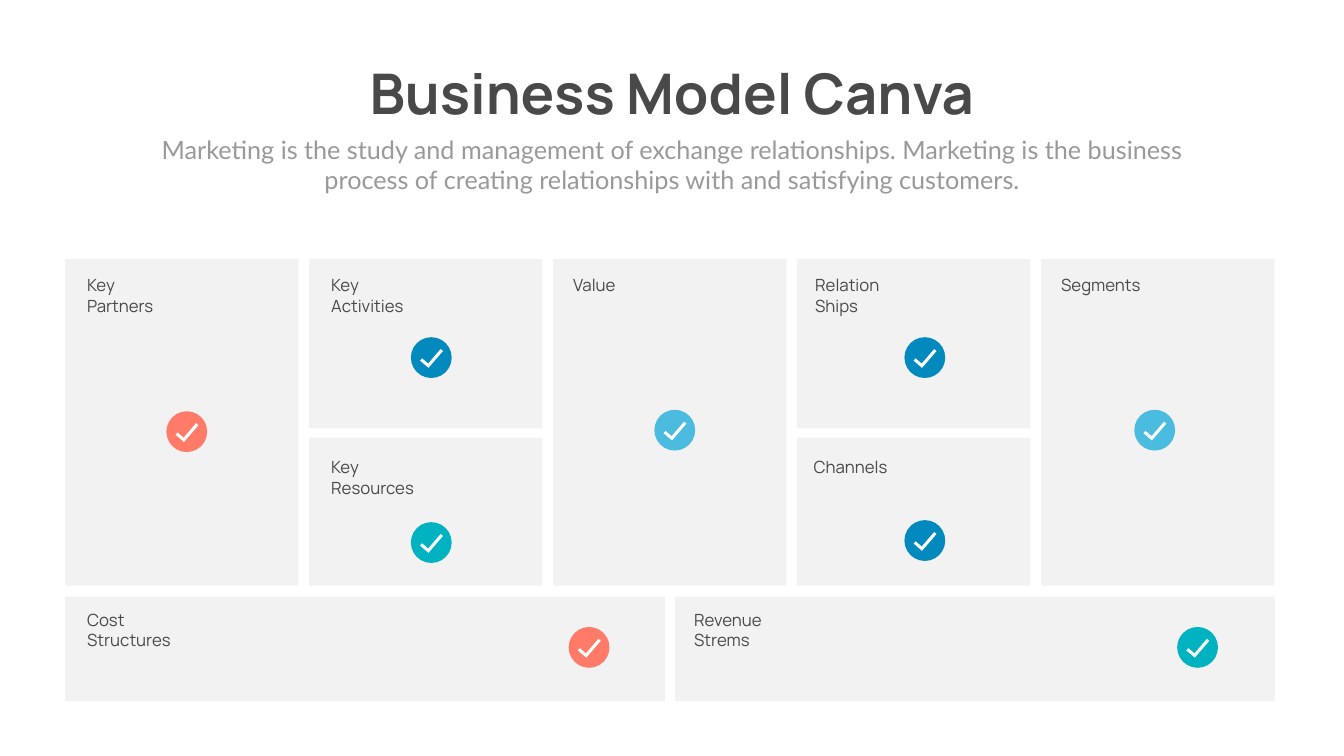
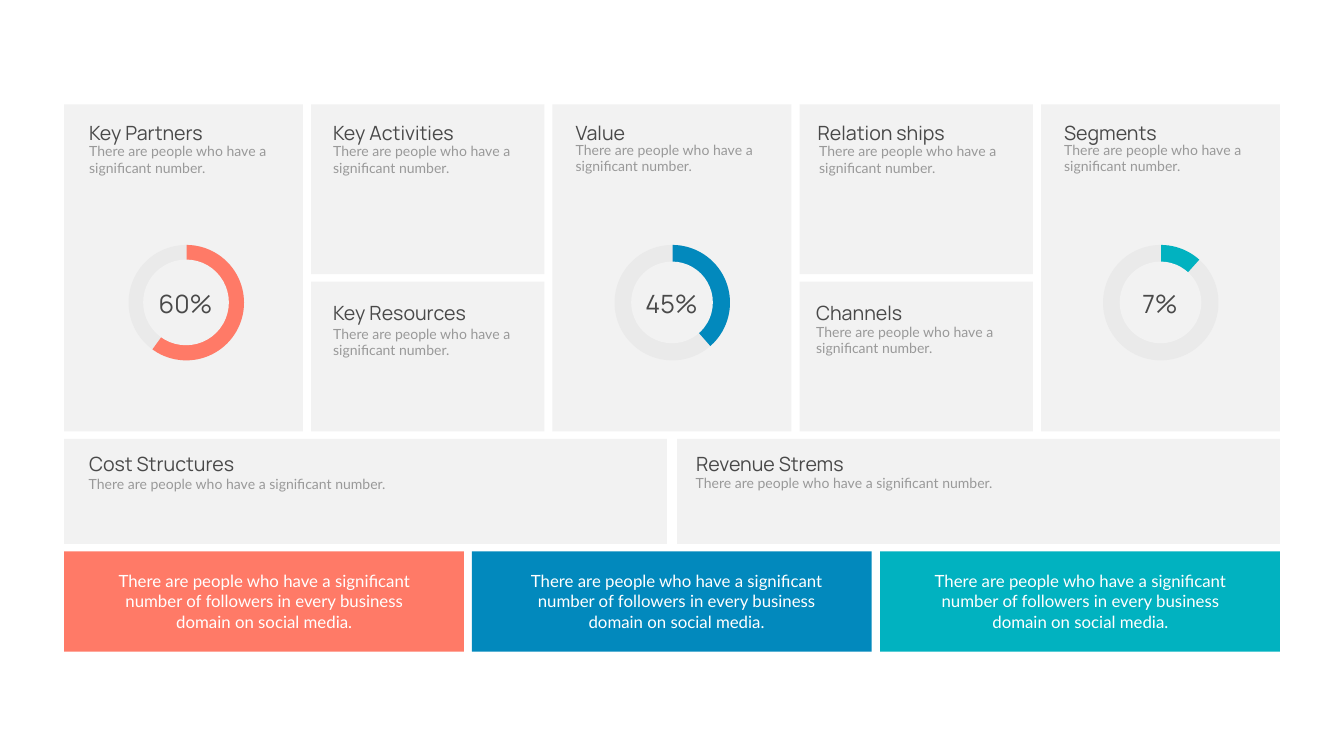
from pptx import Presentation
from pptx.dml.color import RGBColor as RGB
from pptx.enum.shapes import MSO_SHAPE as Form
from pptx.enum.text import PP_ALIGN as Align
from pptx.util import Emu, Pt

PX = 9144  # one px is 1/100 inch

INK = RGB(0x49, 0x49, 0x49)
GREY = RGB(0x99, 0x99, 0x99)
PANEL = RGB(0xF2, 0xF2, 0xF2)
TRACK = RGB(0xEA, 0xEA, 0xEA)
WHITE = RGB(0xFF, 0xFF, 0xFF)
CORAL = RGB(0xFF, 0x7A, 0x67)
BLUE = RGB(0x02, 0x89, 0xBD)
TEAL = RGB(0x01, 0xB2, 0xC0)
SKY = RGB(0x4B, 0xBB, 0xDF)

HEAD, BODY = "Manrope", "Lato"
NOTE = "There are people who have a significant number."
CLAIM = ("There are people who have a significant number of followers "
         "in every business domain on social media.")
TICK = [(6, 0), (6, 16), (44, 16), (44, 22), (0, 22)]

# text, dx, dy, width, height; badge colour, dx, dy (all from the cell's corner)
LABELS = [
    ("Key Partners", 34, 27, 183, 91, CORAL, 201, 302),
    ("Key Activities", 34, 27, 182, 91, BLUE, 202, 155),
    ("Key Resources", 34, 33, 218, 91, TEAL, 202, 167),
    ("Value", 30, 27, 239, 50, SKY, 201, 299),
    ("Relation Ships", 26, 27, 182, 91, BLUE, 213, 155),
    ("Channels", 23, 33, 241, 50, BLUE, 213, 163),
    ("Segments", 30, 27, 239, 50, SKY, 185, 299),
    ("Cost Structures", 34, 20, 200, 91, CORAL, 999, 60),
    ("Revenue Strems", 28, 20, 200, 91, TEAL, 996, 60),
]

# text, dx, dy, width, height; note dx, dy, width, height
TOPICS = [
    ("Key Partners", 40, 27, 302, 56, 40, 71, 384, 56),
    ("Key Activities", 34, 27, 345, 56, 34, 71, 384, 56),
    ("Key Resources", 34, 33, 348, 56, 34, 81, 388, 56),
    ("Value", 36, 27, 239, 56, 36, 68, 384, 56),
    ("Relation ships", 26, 27, 345, 56, 29, 71, 384, 56),
    ("Channels", 23, 33, 241, 56, 23, 77, 388, 56),
    ("Segments", 36, 27, 239, 56, 36, 68, 384, 56),
    ("Cost Structures", 40, 21, 380, 42, 39, 67, 629, 32),
    ("Revenue Strems", 28, 21, 380, 42, 27, 66, 629, 32),
]

# cell, dx, share, end angle, hole, colour
RINGS = [
    (0, 128, "60%", 125.91, 170, CORAL),
    (3, 123, "45%", 48.72, 162, BLUE),
    (6, 123, "7%", 311.85, 162, TEAL),
]


def emu(box):
    return [Emu(n * PX) for n in box]


def paint(shape, fill):
    shape.shadow.inherit = False
    shape.fill.solid()
    shape.fill.fore_color.rgb = fill
    shape.line.fill.background()


def draw(shapes, form, box, fill):
    shape = shapes.add_shape(form, *emu(box))
    paint(shape, fill)
    return shape


def panel(slide, box, fill=PANEL):
    draw(slide.shapes, Form.ROUNDED_RECTANGLE, box, fill).adjustments[0] = 0


def write(slide, box, text, size, font=HEAD, color=INK, align=None, bold=None):
    frame = slide.shapes.add_textbox(*emu(box)).text_frame
    frame.word_wrap = True
    para = frame.paragraphs[0]
    para.alignment = align
    run = para.add_run()
    run.text = text
    run.font.size = Pt(size)
    run.font.name = font
    run.font.bold = bold
    run.font.color.rgb = color


def grid(slide, left, top, widths, gap, rows, wide):
    """Draw the nine canvas cells and return the corner of each.

    rows holds upper, gap, lower, gap and base height; wide is a base cell's width.
    """
    upper, mid, lower, gutter, base = rows
    tall = upper + mid + lower
    cells = []
    x = left
    for i, width in enumerate(widths):
        if i % 2:
            cells += [(x, top, width, upper), (x, top + upper + mid, width, lower)]
        else:
            cells.append((x, top, width, tall))
        x += width + gap
    cells += [(left + i * (wide + 20), top + tall + gutter, wide, base)
              for i in range(2)]
    for cell in cells:
        panel(slide, cell)
    return [cell[:2] for cell in cells]


def badge(slide, x, y, fill):
    group = slide.shapes.add_group_shape().shapes
    draw(group, Form.OVAL, (x, y, 81, 81), fill)
    pen = group.build_freeform(0, 0, scale=PX)
    pen.add_line_segments(TICK)
    tick = pen.convert_to_shape(*emu((x + 19, y + 26)))
    paint(tick, WHITE)
    tick.rotation = 310.7


def ring(slide, x, y, share, end, hole, fill):
    size = 229
    disc = (x, y, size, size)
    draw(slide.shapes, Form.OVAL, disc, TRACK)
    pie = draw(slide.shapes, Form.PIE, disc, fill)
    for i, angle in enumerate((270.45, end)):
        pie.adjustments[i] = angle * 0.6
    inset = (size - hole) // 2
    draw(slide.shapes, Form.OVAL, (x + inset, y + inset, hole, hole), PANEL)
    write(slide, (x + 36, y + 82, 154, 71), share, 36, align=Align.CENTER)


def claims(slide, left, top):
    """Draw the row of three coloured bars."""
    for i, (fill, dx) in enumerate(((CORAL, 76), (BLUE, 85), (TEAL, 76))):
        x = left + i * 1619 // 2
        panel(slide, (x, top, 793, 199), fill)
        write(slide, (x + dx, top + 34, 642, 131), CLAIM, 24, BODY, WHITE,
              Align.CENTER)


def checks(slide):
    """Build the canvas with a check badge in every cell."""
    write(slide, (673, 112, 1320, 145), "Business Model Canva", 80,
          align=Align.CENTER, bold=True)
    write(slide, (292, 261, 2082, 131),
          "Marketing is the study and management of exchange relationships. "
          "Marketing is the business process of creating relationships with "
          "and satisfying customers.", 36, BODY, GREY, Align.CENTER)
    cells = grid(slide, 129, 514, [463] * 5, 21, (336, 19, 293, 22, 207), 1190)
    for (x, y), (text, dx, dy, w, h, fill, bx, by) in zip(cells, LABELS):
        write(slide, (x + dx, y + dy, w, h), text, 24)
        badge(slide, x + bx, y + by, fill)


def shares(slide):
    """Build the canvas with notes, share rings and coloured bars."""
    cells = grid(slide, 127, 207, [474, 463, 474, 463, 474], 16,
                 (337, 15, 297, 15, 208), 1196)
    for (x, y), (text, dx, dy, w, h, nx, ny, nw, nh) in zip(cells, TOPICS):
        write(slide, (x + dx, y + dy, w, h), text, 28)
        write(slide, (x + nx, y + ny, nw, nh), NOTE, 20, BODY, GREY)
    for cell, dx, *rest in RINGS:
        x, y = cells[cell]
        ring(slide, x + dx, y + 279, *rest)
    claims(slide, 127, 1094)


def main():
    deck = Presentation()
    deck.slide_width, deck.slide_height = emu((2666, 1500))
    for build in (checks, shares):
        build(deck.slides.add_slide(deck.slide_layouts[6]))
    deck.save("out.pptx")


if __name__ == "__main__":
    main()
